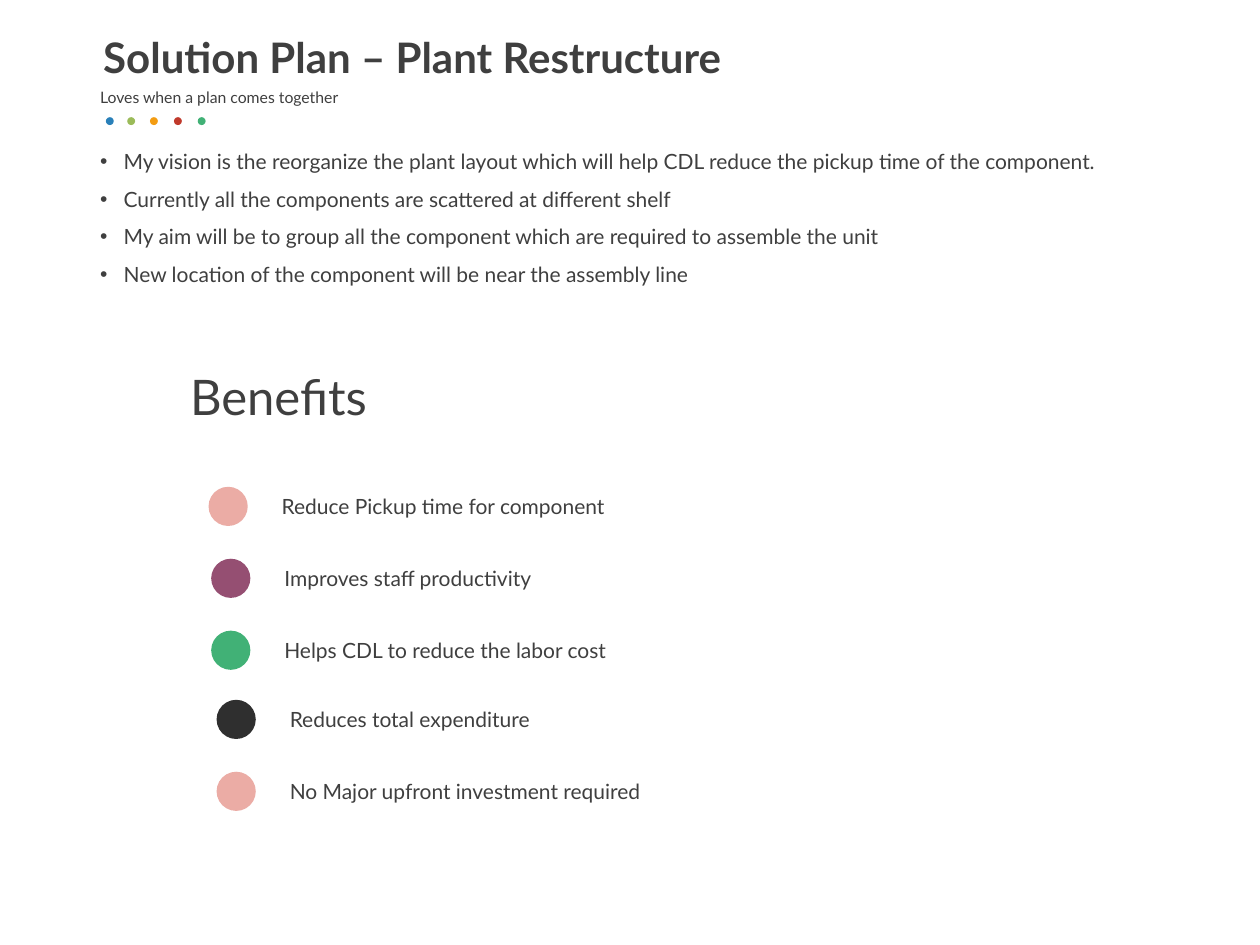
from pptx import Presentation
from pptx.dml.color import RGBColor
from pptx.enum.shapes import MSO_SHAPE
from pptx.enum.text import MSO_ANCHOR, PP_ALIGN
from pptx.util import Pt
from lxml.etree import SubElement
from pptx.oxml.ns import qn

FONT, INK = "Lato", "3F3F3F"
TITLE = "Solution Plan – Plant Restructure"
SUBTITLE = "Loves when a plan comes together"
DOTS = [(60.5, "2980B9"), (72.7, "9BBB59"), (85.7, "F39C12"), (99.4, "C0392B"), (113, "41B176")]
PLAN = [
    "My vision is the reorganize the plant layout which will help CDL reduce the pickup time of the component.",
    "Currently all the components are scattered at different shelf",
    "My aim will be to group all the component which are required to assemble the unit",
    "New location of the component will be near the assembly line",
]
BENEFITS = [
    ("Reduce Pickup time for component", "EBACA5", 130.4, 289.4, 261),
    ("Improves staff productivity", "954F72", 131.9, 330.5, 184),
    ("Helps CDL to reduce the labor cost", "41B176", 131.9, 371.6, 216),
    ("Reduces total expenditure", "2F2F2F", 135, 411.1, 158),
    ("No Major upfront investment required", "EBACA5", 135, 452.2, 261),
]
DOT, DISC = 4.5, 22.4


def rgb(value):
    """Turn a hex string into a colour."""
    return RGBColor.from_string(value)


def write(sp, lines, size, bold=False, spacing=1.0, anchor=MSO_ANCHOR.TOP, inset=(7.2, 3.6)):
    """Fill a text shape with one paragraph per line."""
    tf = sp.text_frame
    tf.word_wrap = True
    tf.vertical_anchor = anchor
    tf.margin_left = tf.margin_right = Pt(inset[0])
    tf.margin_top = tf.margin_bottom = Pt(inset[1])
    tf.text = "\n".join(lines)
    for p in tf.paragraphs:
        p.alignment = PP_ALIGN.LEFT
        p.line_spacing = spacing
        p.space_before = Pt(0)
        for r in p.runs:
            r.font.name, r.font.size, r.font.bold = FONT, Pt(size), bold
            r.font.color.rgb = rgb(INK)
    return tf


def add_text(s, box, lines, size, **style):
    """Add a text box at the given left, top, width and height."""
    return write(s.shapes.add_textbox(*map(Pt, box)), lines, size, **style)


def add_disc(s, x, y, size, color):
    """Add a plain filled circle centred on a point."""
    sp = s.shapes.add_shape(MSO_SHAPE.OVAL, Pt(x - size / 2), Pt(y - size / 2), Pt(size), Pt(size))
    sp.shadow.inherit = False
    sp.fill.solid()
    sp.fill.fore_color.rgb = rgb(color)
    sp.line.fill.background()


def add_bullet(p, indent):
    """Give a paragraph a hanging round bullet."""
    props = p._p.get_or_add_pPr()
    props.set("marL", str(Pt(indent)))
    props.set("indent", str(-Pt(indent)))
    SubElement(props, qn("a:buFont")).set("typeface", "Arial")
    SubElement(props, qn("a:buChar")).set("char", "•")


def main():
    """Build and save the slide."""
    prs = Presentation()
    prs.slide_width, prs.slide_height = Pt(720), Pt(540)
    s = prs.slides.add_slide(prs.slide_layouts[5])

    title = s.shapes.title
    title.left, title.top, title.width, title.height = map(Pt, (51.8, 14.4, 595.4, 36))
    write(title, [TITLE], 24, bold=True)

    add_text(s, (51.8, 41.8, 612, 19.4), [SUBTITLE], 9, spacing=1.5, inset=(5.4, 2.7))
    for x, color in DOTS:
        add_disc(s, x + DOT / 2, 69.2, DOT, color)

    tf = add_text(s, (51.8, 74.9, 612, 90), PLAN, 12, spacing=1.5, inset=(5.4, 2.7))
    for p in tf.paragraphs:
        add_bullet(p, 13.5)

    add_text(s, (101.5, 208.8, 483.8, 38.2), ["Benefits"], 28, spacing=0.9, anchor=MSO_ANCHOR.BOTTOM)
    for label, color, x, y, width in BENEFITS:
        add_disc(s, x, y, DISC, color)
        add_text(s, (x + 23.5, y - 10.8, width, 21.6), [label], 12)

    prs.save("out.pptx")


if __name__ == "__main__":
    main()
